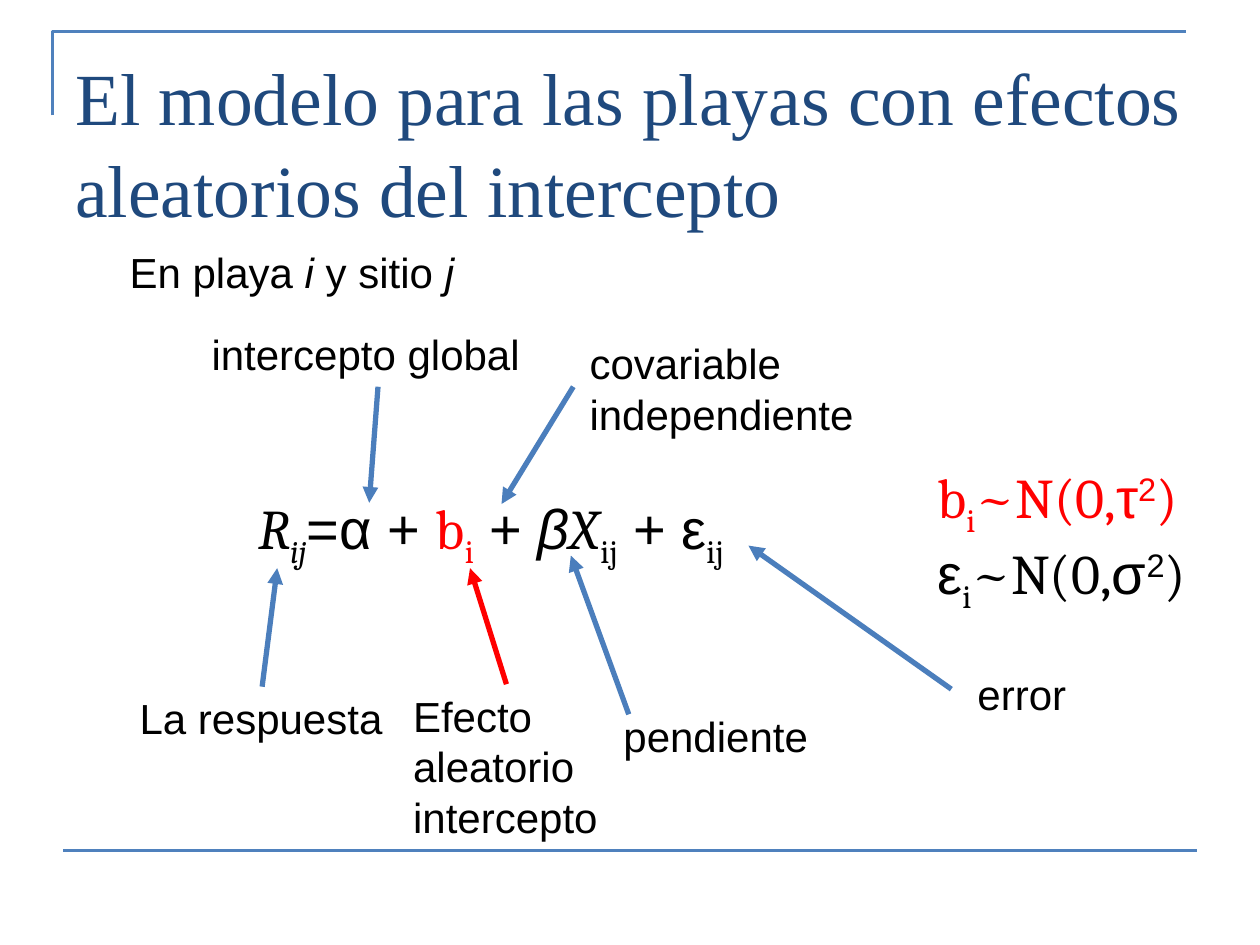
from typing import NamedTuple

from pptx import Presentation
from pptx.dml.color import RGBColor
from pptx.enum.shapes import MSO_CONNECTOR as Connector
from pptx.oxml.ns import qn
from pptx.util import Pt
from lxml.etree import SubElement

COLORS = {"title": "1F497D", "rule": "4F81BD", "arrow": "4B7EBC", "text": "000000", "random": "FF0000"}
SUB, SUPER = -25000, 30000


class Run(NamedTuple):
    text: str
    font: str = "Arial"
    italic: bool = False
    base: int = 0
    color: str = ""


class Para(NamedTuple):
    runs: list[Run]
    color: str = "text"


class Box(NamedTuple):
    x: float
    y: float
    w: float
    h: float
    paras: list[Para]
    size: float = 24


class Line(NamedTuple):
    x1: float
    y1: float
    x2: float
    y2: float
    color: str = "arrow"


def rgb(name: str) -> RGBColor:
    """Return the named palette colour."""
    return RGBColor.from_string(COLORS[name])


def label(x: float, y: float, w: float, h: float, *lines: str) -> Box:
    """Describe a plain label with one paragraph per line."""
    return Box(x, y, w, h, [Para([Run(line)]) for line in lines])


def distribution(variable: Run, variance: str, color: str) -> Para:
    """Describe a normal distribution of an indexed variable."""
    return Para([variable, Run("i", "Cambria", base=SUB), Run("~N(0,", "Cambria"),
                 Run(variance), Run("2", base=SUPER), Run(")", "Cambria")], color)


def draw_box(s, box: Box):
    """Draw a text box and return its text frame."""
    sp = s.shapes.add_textbox(*map(Pt, box[:4]))
    tf = sp.text_frame
    tf.word_wrap = True
    for i, para in enumerate(box.paras):
        p = tf.add_paragraph() if i else tf.paragraphs[0]
        p.font.size = Pt(box.size)
        p.font.color.rgb = rgb(para.color)
        fonts = {run.font for run in para.runs}
        if len(fonts) == 1:
            p.font.name = fonts.pop()
        for run in para.runs:
            r = p.add_run()
            r.text = run.text
            if not p.font.name:
                r.font.name = run.font
            if run.italic:
                r.font.italic = True
            if run.color:
                r.font.color.rgb = rgb(run.color)
            if run.base:
                r.font._element.set("baseline", str(run.base))
    return tf


def draw_line(s, line: Line, width: float, arrow: bool = False) -> None:
    """Draw a straight line, with an arrowhead at its end if asked."""
    c = s.shapes.add_connector(Connector.STRAIGHT, *map(Pt, line[:4]))
    c.line.color.rgb = rgb(line.color)
    c.line.width = Pt(width)
    if arrow:
        SubElement(c.line._get_or_add_ln(), qn("a:tailEnd"), type="triangle")
    SubElement(c._element.spPr, qn("a:effectLst"))


def draw_frame(s) -> None:
    """Draw the corner rule above the title and the rule at the foot."""
    fb = s.shapes.build_freeform(Pt(30), Pt(66), scale=1.0)
    fb.add_line_segments([(Pt(30), Pt(18)), (Pt(678), Pt(18))], close=False)
    sp = fb.convert_to_shape()
    sp.shadow.inherit = False
    sp.fill.background()
    sp.line.color.rgb = rgb("rule")
    sp.line.width = Pt(1.5)
    draw_line(s, Line(36, 486, 684, 486, "rule"), 1.5)


TITLE = Box(36, 21.6, 648, 90, [Para([
    Run("El modelo para las playas con efectos aleatorios del intercepto", "Times New Roman")], "title")], 42)

BOXES = [
    label(72.7, 392.4, 154.8, 36, "La respuesta"),
    label(113.8, 184.3, 216, 36, "intercepto global"),
    label(349.2, 402.5, 134.6, 36, "pendiente"),
    label(329.8, 189.4, 180.7, 65.5, "covariable independiente"),
    label(229, 391, 120.2, 94.3, "Efecto", "aleatorio", "intercepto"),
    label(551.5, 378.7, 69.8, 36, "error"),
    Box(67, 137.5, 201.6, 36, [Para([
        Run("En playa "), Run("i", italic=True), Run(" y sitio "), Run("j", italic=True)])]),
    Box(140.4, 278.6, 302.4, 46, [Para([
        Run("R", "Cambria", True), Run("ij", "Cambria", True, SUB), Run("=α + "),
        Run("b", "Cambria", color="random"), Run("i", "Cambria", base=SUB, color="random"),
        Run(" + "), Run("β", italic=True), Run("X", "Cambria", True),
        Run("ij", "Cambria", base=SUB), Run(" + ε"), Run("ij", "Cambria", base=SUB)])], 32),
    Box(528.5, 260.6, 157, 85, [
        distribution(Run("b", "Cambria"), "τ", "random"),
        distribution(Run("ε"), "σ", "text")], 32),
]

ARROWS = [
    Line(149.8, 392.4, 158.4, 324.7),
    Line(216, 221, 211, 287.3),
    Line(359.3, 408.2, 326.2, 317.5),
    Line(327.6, 221, 286.6, 288),
    Line(289.4, 391, 268.6, 324.7, "random"),
    Line(543.6, 393.8, 427.7, 311.8),
]


def main() -> None:
    """Build the slide and save it."""
    prs = Presentation()
    prs.slide_width, prs.slide_height = Pt(720), Pt(540)
    s = prs.slides.add_slide(prs.slide_layouts[6])
    draw_frame(s)
    tf = draw_box(s, TITLE)
    tf.margin_top = Pt(6)
    tf.paragraphs[0].line_spacing = 1.04
    for box in BOXES:
        draw_box(s, box)
    for arrow in ARROWS:
        draw_line(s, arrow, 3, arrow=True)
    prs.save("out.pptx")


if __name__ == "__main__":
    main()
